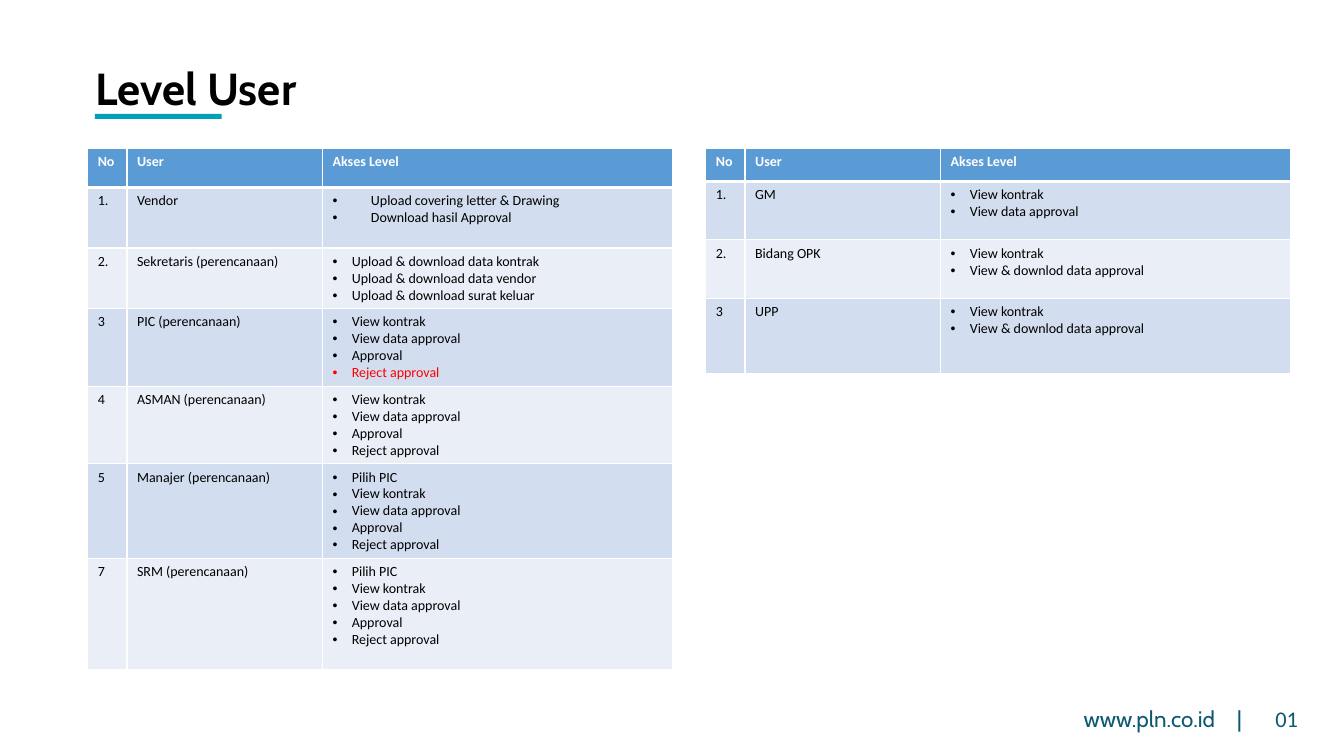
from lxml.etree import SubElement
from pptx import Presentation
from pptx.dml.color import RGBColor
from pptx.enum.shapes import MSO_SHAPE as Shape
from pptx.enum.text import MSO_ANCHOR as Anchor
from pptx.oxml.ns import qn
from pptx.util import Inches, Pt

COLORS = {
    "black": "000000", "white": "FFFFFF", "red": "FF0000",
    "accent": "00A0B8", "footer": "0C5971",
    "header": "5B9BD5", "odd": "D2DEEF", "even": "EAEFF7",
}
HEADINGS = ("No", "User", "Akses Level")
COLUMN_WIDTHS = (0.39, 1.94, 3.47)
TABLE_TOP = 1.47
REVIEW = ["View kontrak", "View data approval", "Approval", "Reject approval"]
VIEW_AND_DOWNLOAD = ["View kontrak", "View & downlod data approval"]

# Each row: height, number, user, access list
PLANNING_USERS = [
    (0.6, "1.", "Vendor", ["Upload covering letter & Drawing", "Download hasil Approval"]),
    (0.6, "2.", "Sekretaris (perencanaan)", [
        "Upload & download data kontrak",
        "Upload & download data vendor",
        "Upload & download surat keluar"]),
    (0.77, "3", "PIC (perencanaan)", REVIEW),
    (0.77, "4", "ASMAN (perencanaan)", REVIEW),
    (0.94, "5", "Manajer (perencanaan)", ["Pilih PIC"] + REVIEW),
    (1.1, "7", "SRM (perencanaan)", ["Pilih PIC"] + REVIEW),
]
OTHER_USERS = [
    (0.58, "1.", "GM", ["View kontrak", "View data approval"]),
    (0.58, "2.", "Bidang OPK", VIEW_AND_DOWNLOAD),
    (0.75, "3", "UPP", VIEW_AND_DOWNLOAD),
]


def rgb(name):
    return RGBColor.from_string(COLORS[name])


def add_color(parent, name):
    SubElement(parent, qn("a:srgbClr"), val=COLORS[name])


def add_bullet(paragraph, indent, color):
    properties = paragraph._p.get_or_add_pPr()
    properties.set("marL", str(Inches(indent)))
    properties.set("indent", str(-Inches(indent)))
    add_color(SubElement(properties, qn("a:buClr")), color)
    SubElement(properties, qn("a:buFont"), typeface="Arial")
    SubElement(properties, qn("a:buChar"), char="•")


def add_tab_stop(paragraph, position):
    stops = SubElement(paragraph._p.get_or_add_pPr(), qn("a:tabLst"))
    SubElement(stops, qn("a:tab"), pos=str(Inches(position)), algn="l")


def write(paragraph, text, size=10, font="Calibri", color="black", bold=False,
          line_spacing=None, indent=None, tab=None):
    if indent:
        add_bullet(paragraph, indent, color)
    if tab:
        add_tab_stop(paragraph, tab)
    if line_spacing:
        paragraph.line_spacing = line_spacing
    run = paragraph.add_run()
    run.text = text
    run.font.size = Pt(size)
    run.font.name = font
    run.font.bold = bold
    run.font.color.rgb = rgb(color)


def set_borders(cell, top=0.96, bottom=0.96):
    widths = {"L": 0.96, "R": 0.96, "T": top, "B": bottom}
    for side, width in widths.items():
        line = SubElement(cell._tc.get_or_add_tcPr(), qn(f"a:ln{side}"), w=str(Pt(width)))
        add_color(SubElement(line, qn("a:solidFill")), "white")


class SlideBuilder:
    def __init__(self, slide):
        self.slide = slide

    def bar(self, left, top, width, height, color):
        bar = self.slide.shapes.add_shape(
            Shape.RECTANGLE, Inches(left), Inches(top), Inches(width), Inches(height))
        bar.shadow.inherit = False
        bar.fill.solid()
        bar.fill.fore_color.rgb = rgb(color)
        bar.line.fill.background()

    def text(self, text, left, top, width, height, anchor=Anchor.TOP, **style):
        box = self.slide.shapes.add_textbox(
            Inches(left), Inches(top), Inches(width), Inches(height))
        frame = box.text_frame
        frame.word_wrap = True
        frame.vertical_anchor = anchor
        write(frame.paragraphs[0], text, **style)

    def user_table(self, left, header_height, users, red_user=None, wide_user=None):
        """Draw one access table; red_user's last item is red, wide_user's indent is doubled."""
        heights = [header_height] + [user[0] for user in users]
        table = self.slide.shapes.add_table(
            len(heights), len(HEADINGS), Inches(left), Inches(TABLE_TOP),
            Inches(sum(COLUMN_WIDTHS)), Inches(sum(heights))).table
        for column, width in zip(table.columns, COLUMN_WIDTHS):
            column.width = Inches(width)
        for row, height in zip(table.rows, heights):
            row.height = Inches(height)

        for cell, heading in zip(table.rows[0].cells, HEADINGS):
            self.cell(cell, [heading], "header", bottom=3, color="white", bold=True)
        for index, (_, number, user, access) in enumerate(users, 1):
            fill = "odd" if index % 2 else "even"
            top = 3 if index == 1 else 0.96
            number_cell, user_cell, access_cell = table.rows[index].cells
            self.cell(number_cell, [number], fill, top)
            self.cell(user_cell, [user], fill, top)
            self.cell(access_cell, access, fill, top,
                      last_color="red" if user == red_user else None,
                      indent=0.38 if user == wide_user else 0.19)

    def cell(self, cell, items, fill, top=0.96, bottom=0.96, last_color=None, **style):
        set_borders(cell, top, bottom)
        cell.fill.solid()
        cell.fill.fore_color.rgb = rgb(fill)
        frame = cell.text_frame
        for position, item in enumerate(items):
            paragraph = frame.add_paragraph() if position else frame.paragraphs[0]
            if last_color and position == len(items) - 1:
                style["color"] = last_color
            write(paragraph, item, **style)


def main():
    presentation = Presentation()
    presentation.slide_width = Inches(13.33)
    presentation.slide_height = Inches(7.5)
    builder = SlideBuilder(presentation.slides.add_slide(presentation.slide_layouts[6]))

    builder.bar(0.94, 1.13, 1.26, 0.05, "accent")
    builder.text("www.pln.co.id\t|", 10.65, 6.95, 2.07, 0.36,
                 size=16, font="Cabin", color="footer", tab=1.52)
    builder.text("Level User", 0.85, 0.59, 9.33, 0.63, anchor=Anchor.MIDDLE,
                 size=32, font="Cabin", bold=True, line_spacing=0.9)
    builder.text("01", 12.55, 6.98, 0.52, 0.36,
                 size=16, color="footer", line_spacing=0.9)
    builder.user_table(0.87, 0.39, PLANNING_USERS,
                       red_user="PIC (perencanaan)", wide_user="Vendor")
    builder.user_table(7, 0.33, OTHER_USERS)
    presentation.save("out.pptx")


if __name__ == "__main__":
    main()
